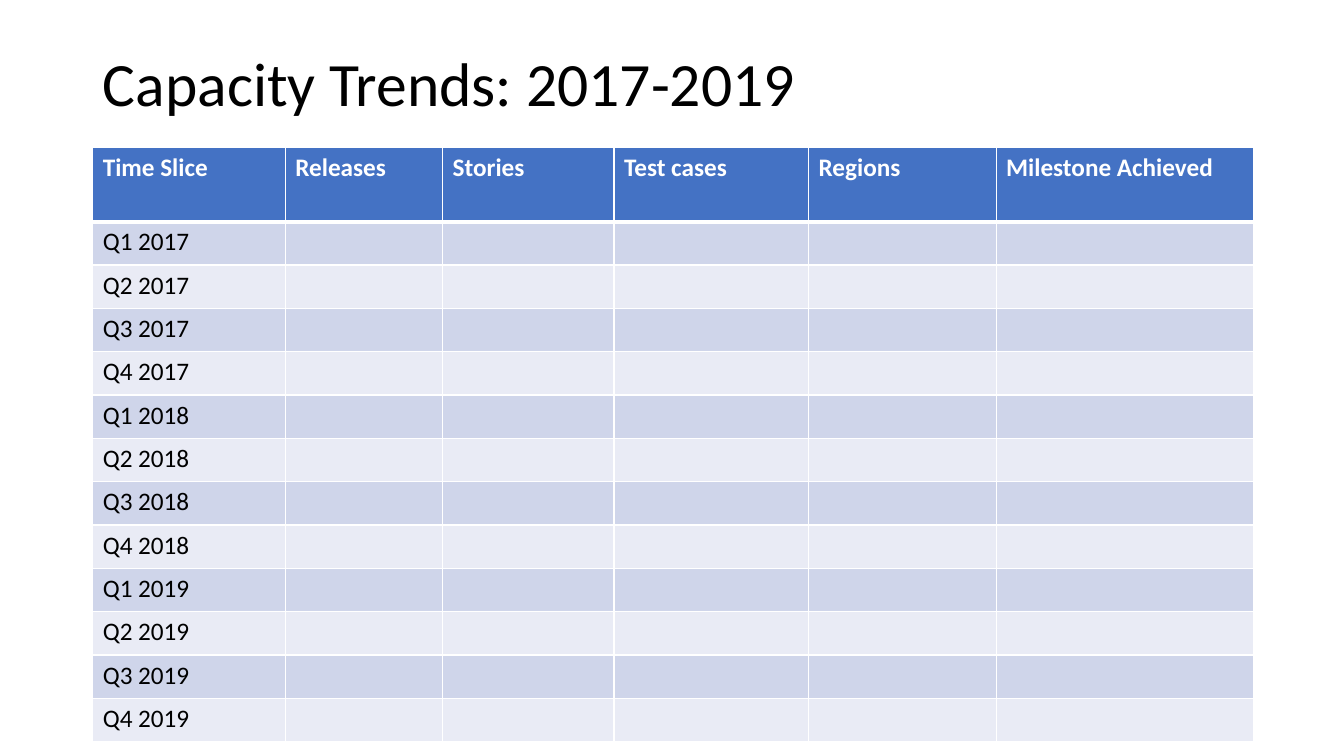
from dataclasses import dataclass

from lxml import etree
from pptx import Presentation
from pptx import util as u
from pptx.dml import color
from pptx.enum import text
from pptx.oxml import ns

FONT = "Calibri"
WHITE, BLACK = "FFFFFF", "000000"
HEADER_FILL = "4472C4"
BAND_FILLS = ("CFD5EA", "E9EBF5")
LEFT, WIDTH = u.Inches(0.92), u.Inches(11.5)
HEADER_HEIGHT, QUARTER_HEIGHT = u.Inches(0.74), u.Inches(0.43)
THIN, THICK = u.Pt(1), u.Pt(3)


@dataclass(frozen=True)
class Column:
    """A table column: its heading and its width in inches."""
    heading: str
    width: float


COLUMNS = (
    Column("Time Slice", 1.91),
    Column("Releases", 1.56),
    Column("Stories", 1.7),
    Column("Test cases", 1.93),
    Column("Regions", 1.86),
    Column("Milestone Achieved", 2.55),
)
QUARTERS = [f"Q{quarter} {year}" for year in (2017, 2018, 2019) for quarter in range(1, 5)]


def rgb(value: str) -> color.RGBColor:
    """Turn a hex string into a colour."""
    return color.RGBColor.from_string(value)


def add_run(paragraph, words: str, size: float, hex_color: str, bold: bool = False) -> None:
    """Add one formatted run to a paragraph."""
    run = paragraph.add_run()
    run.text = words
    run.font.name = FONT
    run.font.size = u.Pt(size)
    run.font.bold = bold
    run.font.color.rgb = rgb(hex_color)


def set_borders(cell, top: int, bottom: int) -> None:
    """Draw white borders round a cell; the sides are always thin."""
    properties = cell._tc.get_or_add_tcPr()
    for side, width in (("L", THIN), ("R", THIN), ("T", top), ("B", bottom)):
        line = etree.SubElement(properties, ns.qn(f"a:ln{side}"), w=str(width))
        fill = etree.SubElement(line, ns.qn("a:solidFill"))
        etree.SubElement(fill, ns.qn("a:srgbClr"), val=WHITE)


def add_title(slide, words: str) -> None:
    """Place and fill the title placeholder."""
    title = slide.shapes.title
    title.left, title.top = LEFT, u.Inches(0.4)
    title.width, title.height = WIDTH, u.Inches(0.91)
    frame = title.text_frame
    frame.word_wrap = True
    frame.auto_size = text.MSO_AUTO_SIZE.NONE
    frame.vertical_anchor = text.MSO_ANCHOR.MIDDLE
    paragraph = frame.paragraphs[0]
    paragraph.alignment = text.PP_ALIGN.LEFT
    paragraph.line_spacing = 0.9
    add_run(paragraph, words, 44, BLACK)


def add_capacity_table(slide) -> None:
    """Add the table with one banded row for each quarter."""
    height = HEADER_HEIGHT + QUARTER_HEIGHT * len(QUARTERS)
    table = slide.shapes.add_table(
        len(QUARTERS) + 1, len(COLUMNS), LEFT, u.Inches(1.46), WIDTH, height
    ).table
    for table_column, column in zip(table.columns, COLUMNS):
        table_column.width = u.Inches(column.width)

    headings = [column.heading for column in COLUMNS]
    labels = [headings] + [[quarter] + [""] * (len(COLUMNS) - 1) for quarter in QUARTERS]
    for index, (row, row_labels) in enumerate(zip(table.rows, labels)):
        is_header = index == 0
        row.height = HEADER_HEIGHT if is_header else QUARTER_HEIGHT
        for cell, label in zip(row.cells, row_labels):
            set_borders(cell, THICK if index == 1 else THIN, THICK if is_header else THIN)
            cell.fill.solid()
            cell.fill.fore_color.rgb = rgb(HEADER_FILL if is_header else BAND_FILLS[(index - 1) % 2])
            if label:
                add_run(cell.text_frame.paragraphs[0], label, 18,
                        WHITE if is_header else BLACK, is_header)


def main() -> None:
    """Build the slide and save it."""
    presentation = Presentation()
    presentation.slide_width, presentation.slide_height = u.Inches(13.33), u.Inches(7.5)
    slide = presentation.slides.add_slide(presentation.slide_layouts[5])
    add_title(slide, "Capacity Trends: 2017-2019")
    add_capacity_table(slide)
    presentation.save("out.pptx")


main()
